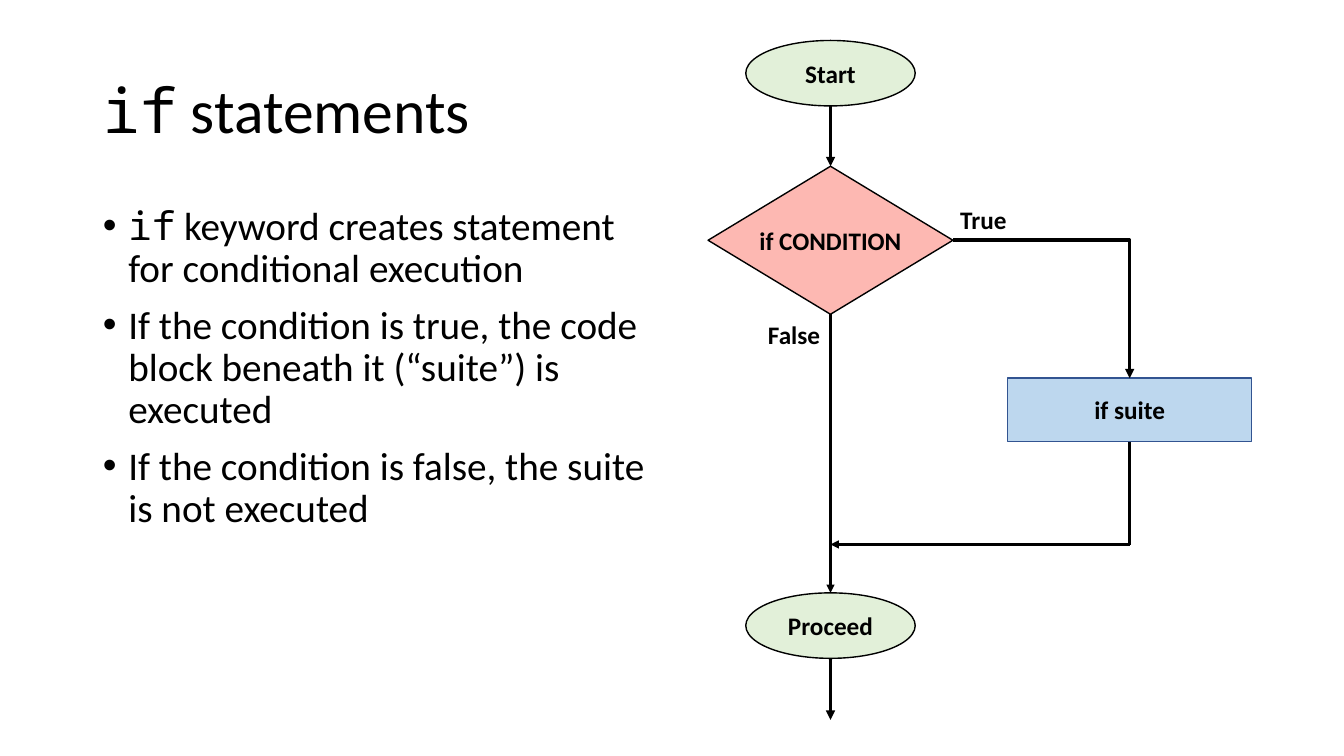
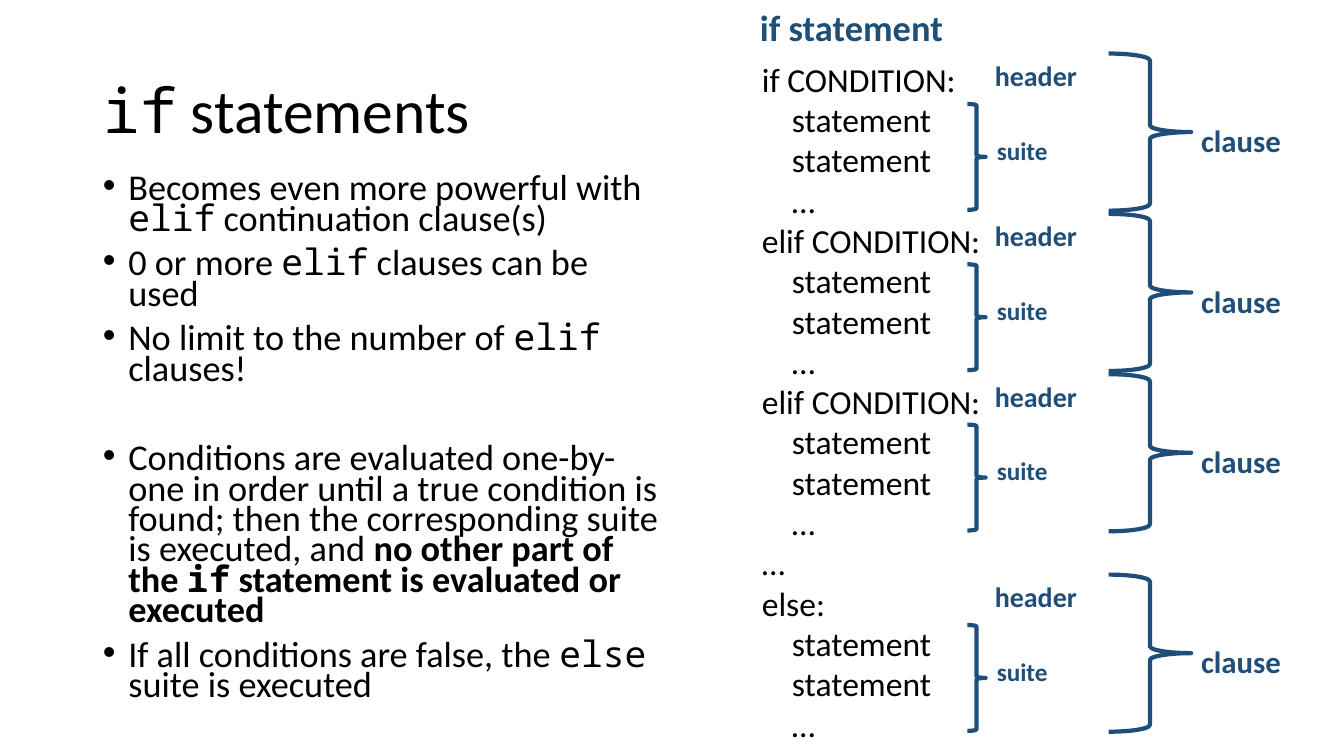
"""Two slides on if statements: a flowchart and the anatomy of the clauses."""
from lxml import etree
from pptx import Presentation
from pptx import util as u
from pptx.dml.color import RGBColor
from pptx.enum import shapes, text
from pptx.oxml import ns

COLOURS = {"ink": "000000", "terminal": "E2F0D9", "decision": "FC7267",
           "suite": "BDD7EE", "suite edge": "325491", "note": "1F4E79"}
ALIGN, ANCHOR, FIT = text.PP_ALIGN, text.MSO_ANCHOR, text.MSO_AUTO_SIZE
SHAPE, CONNECTOR = shapes.MSO_SHAPE, shapes.MSO_CONNECTOR


def write(frame, lines, size, colour="ink", bold=False, layout=None, style=None):
    """Fill a frame; *stars* mark bold words and `backticks` mark code."""
    for key, value in {"word_wrap": True, **(layout or {})}.items():
        setattr(frame, key, value)
    for number, line in enumerate(lines):
        paragraph = frame.paragraphs[0] if number == 0 else frame.add_paragraph()
        for key, value in (style or {}).items():
            setattr(paragraph, key, value)
        for strong, phrase in enumerate(line.split("*")):
            for code, words in enumerate(phrase.split("`")):
                if words:
                    run = paragraph.add_run()
                    run.text = words
                    look = {"name": "Noto Sans Mono" if code % 2 else "Calibri",
                            "size": u.Pt(size), "bold": bold or strong % 2 == 1}
                    for key, value in look.items():
                        setattr(run.font, key, value)
                    run.font.color.rgb = RGBColor.from_string(COLOURS[colour])


def label(slide, box, lines, size, colour="ink", bold=True, alignment=ALIGN.LEFT):
    """Add a text box that grows with its text and return its frame."""
    frame = slide.shapes.add_textbox(*map(u.Cm, box)).text_frame
    write(frame, lines, size, colour, bold, {"auto_size": FIT.SHAPE_TO_FIT_TEXT},
          {"alignment": alignment})
    return frame


deck = Presentation()
deck.slide_width, deck.slide_height = u.Cm(33.87), u.Cm(19.05)

lessons = [
    {"box": (2.34, 5.08, 14.6, 12.1), "size": 28, "spacing": 0.9, "points": [
        "`if` keyword creates statement for conditional execution",
        "If the condition is true, the code block beneath it (“suite”) is executed",
        "If the condition is false, the suite is not executed"]},
    {"box": (2.34, 4.32, 14.6, 13.72), "size": 25.9, "spacing": 0.7, "points": [
        "Becomes even more powerful with `elif` continuation clause(s)",
        "0 or more `elif` clauses can be used",
        "No limit to the number of `elif` clauses!",
        "Conditions are evaluated one-by-one in order until a true condition is found; "
        "then the corresponding suite is executed, and "
        "*no other part of the `if` statement is evaluated or executed*",
        "If all conditions are false, the `else` suite is executed"]},
]
for lesson in lessons:
    slide = deck.slides.add_slide(deck.slide_layouts[1])
    title, body = slide.placeholders
    for holder, box in ((title, (2.34, 1.02, 29.2, 3.68)), (body, lesson["box"])):
        for side, length in zip(("left", "top", "width", "height"), box):
            setattr(holder, side, u.Cm(length))
    write(title.text_frame, ["`if` statements"], 44,
          layout={"vertical_anchor": ANCHOR.MIDDLE, "auto_size": FIT.NONE},
          style={"alignment": ALIGN.LEFT, "line_spacing": 0.9})
    write(body.text_frame, lesson["points"], lesson["size"],
          layout={"vertical_anchor": ANCHOR.TOP, "auto_size": FIT.NONE},
          style={"line_spacing": lesson["spacing"], "space_before": u.Pt(10)})
    for point in body.text_frame.paragraphs:
        properties = point._p.get_or_add_pPr()
        properties.set("marL", str(u.Cm(0.64)))
        properties.set("indent", str(-u.Cm(0.64)))

flow, anatomy = deck.slides
anatomy.placeholders[1].text_frame.paragraphs[3].space_before = u.Pt(42)

main_x, branch_x = 20.93, 28.47
steps = [
    (SHAPE.OVAL, main_x, 1.02, 4.27, 1.65, "terminal", "ink", "Start"),
    (SHAPE.DIAMOND, main_x, 4.19, 6.17, 3.73, "decision", "ink", "if CONDITION"),
    (SHAPE.RECTANGLE, branch_x, 9.53, 6.15, 1.6, "suite", "suite edge", "if suite"),
    (SHAPE.OVAL, main_x, 14.94, 4.27, 1.65, "terminal", "ink", "Proceed"),
]
for kind, centre, top, width, height, fill, edge, words in steps:
    step = flow.shapes.add_shape(
        kind, *map(u.Cm, (centre - width / 2, top, width, height)))
    step.shadow.inherit = False
    step.fill.solid()
    step.fill.fore_color.rgb = RGBColor.from_string(COLOURS[fill])
    step.line.color.rgb = RGBColor.from_string(COLOURS[edge])
    step.line.width = u.Pt(1)
    if kind == SHAPE.DIAMOND:
        tint = step._element.spPr.find(ns.qn("a:solidFill"))[0]
        etree.SubElement(tint, ns.qn("a:alpha"), val="50000")
    write(step.text_frame, [words], 18, bold=True,
          layout={"word_wrap": kind != SHAPE.DIAMOND, "vertical_anchor": ANCHOR.MIDDLE},
          style={"alignment": ALIGN.CENTER})

label(flow, (23.95, 5.03, 4.37, 1.02), ["True"], 18)
label(flow, (18.08, 7.92, 2.84, 1.02), ["False"], 18, alignment=ALIGN.RIGHT)

routes = [
    (CONNECTOR.STRAIGHT, main_x, 2.67, main_x, 4.19, 2.25, True),
    (CONNECTOR.STRAIGHT, main_x, 7.92, main_x, 14.94, 1.5, True),
    (CONNECTOR.ELBOW, 24.02, 6.05, branch_x, 9.53, 2.25, True),
    (CONNECTOR.STRAIGHT, branch_x, 11.13, branch_x, 13.74, 2.25, False),
    (CONNECTOR.STRAIGHT, branch_x, 13.72, main_x, 13.72, 1.5, True),
    (CONNECTOR.STRAIGHT, main_x, 16.59, main_x, 18.14, 2.25, True),
]
for kind, *ends, weight, arrow in routes:
    route = flow.shapes.add_connector(kind, *map(u.Cm, ends))
    route.line.color.rgb = RGBColor.from_string(COLOURS["ink"])
    route.line.width = u.Pt(weight)
    properties = route._element.spPr
    if kind == CONNECTOR.ELBOW:
        properties.find(ns.qn("a:prstGeom")).set("prst", "bentConnector2")
    if arrow:
        etree.SubElement(properties.find(ns.qn("a:ln")), ns.qn("a:tailEnd"), type="triangle")
    etree.SubElement(properties, ns.qn("a:effectLst"))

suite = ["statement", "statement", "…"]
code = ["if CONDITION:", *suite, *["elif CONDITION:", *suite] * 2, "…", "else:", *suite]
headers = [row for row, line in enumerate(code) if line.endswith(":")]
listing = label(anatomy, (18.95, 1.35, 6.91, 17.7), code, 24, bold=False)
for header in headers:
    for line in listing.paragraphs[header + 1:header + 1 + len(suite)]:
        line._p.get_or_add_pPr().set("marL", str(u.Cm(0.76)))
label(anatomy, (18.82, 0, 5.28, 1.37), ["if statement"], 26, "note", alignment=ALIGN.CENTER)

notes = [("header", 24.82, 0, 5.49, 1.12, 20), ("suite", 24.87, 1.93, 5.49, 1.02, 18),
         ("clause", 30.02, 1.6, 3.8, 1.19, 22)]
braces = [(24.38, 1.27, 0.46, 2.67), (27.94, 0, 2.08, 3.96)]
for header in headers:
    clause_top = 1.35 + 1.01 * header
    for words, left, drop, width, height, size in notes:
        label(anatomy, (left, clause_top + drop, width, height), [words], size, "note")
    for left, drop, width, height in braces:
        brace = anatomy.shapes.add_shape(
            SHAPE.RIGHT_BRACE, *map(u.Cm, (left, clause_top + drop, width, height)))
        brace.shadow.inherit = False
        brace.fill.background()
        brace.line.color.rgb = RGBColor.from_string(COLOURS["note"])
        brace.line.width = u.Pt(3)

deck.save("out.pptx")
